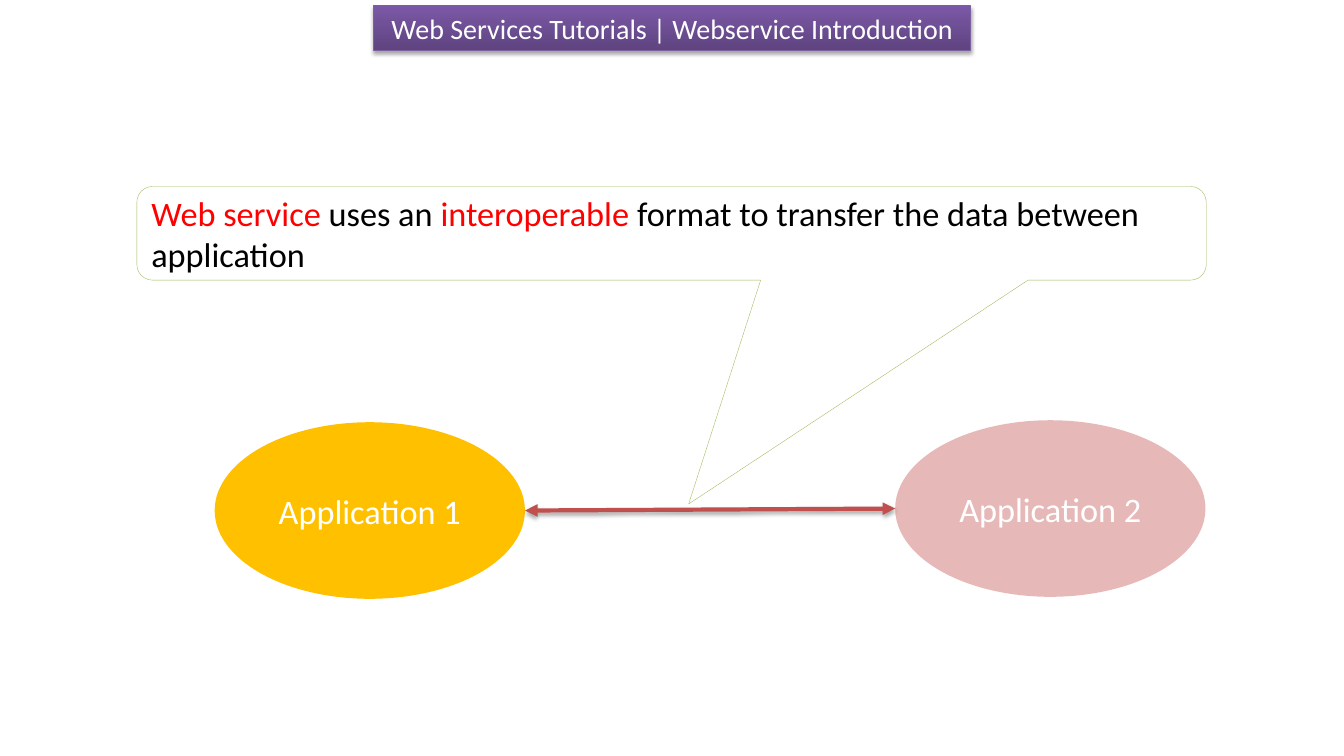
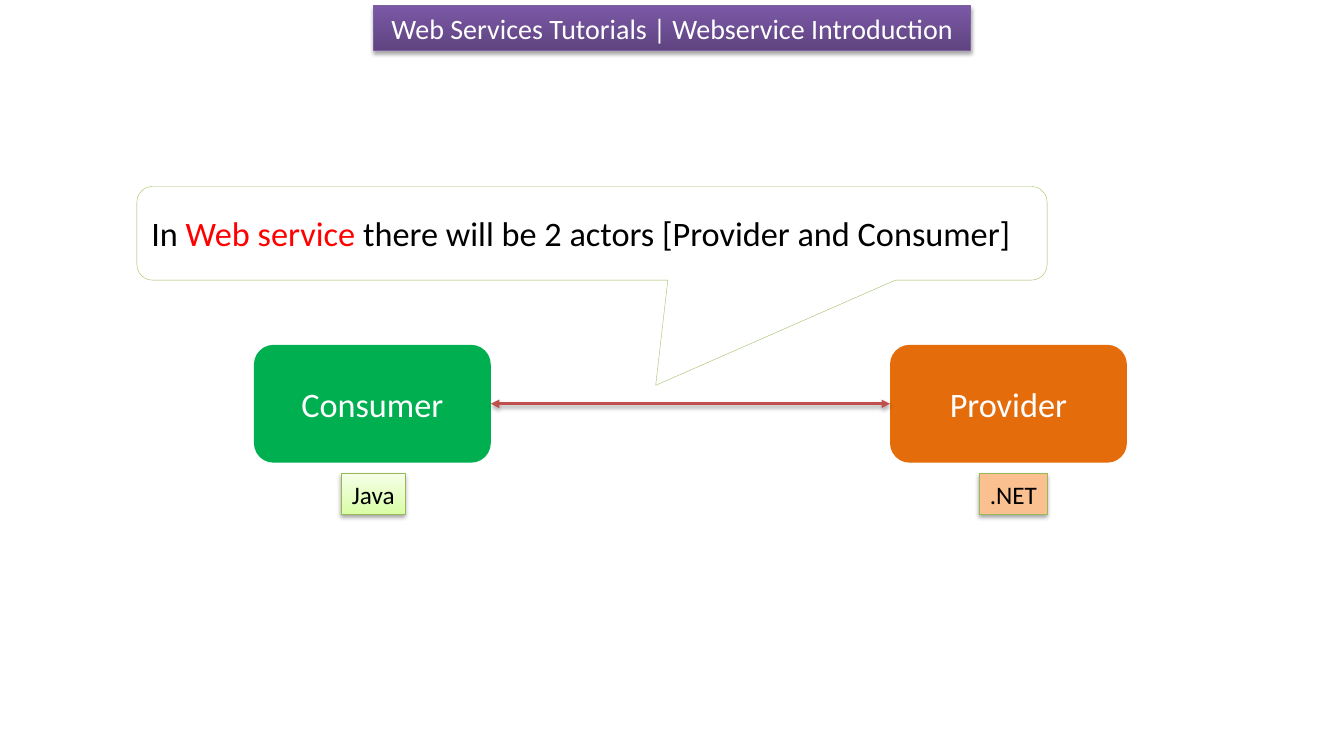
"""Build two slides introducing web services: their data format and their actors."""
from lxml.etree import SubElement
from pptx import Presentation
from pptx.dml.color import RGBColor
from pptx.enum.shapes import MSO_CONNECTOR, MSO_SHAPE
from pptx.enum.text import MSO_ANCHOR, PP_ALIGN
from pptx.oxml import parse_xml
from pptx.oxml.ns import nsdecls, qn
from pptx.util import Cm, Pt

COLORS = {
    "white": "FFFFFF", "black": "000000", "red": "FF0000",
    "title_dark": "5F4480", "title_light": "7B58A6", "title_line": "7D60A0",
    "amber": "FFC000", "pink": "E6B9B8", "green": "00B050", "orange": "E46C0A",
    "arrow": "C0504D", "callout_line": "9BBB59", "tag_line": "98B955",
    "lime_dark": "DAFDA7", "lime_light": "F5FFE7", "peach": "FAC090",
}
FONT = "Calibri"
BODY_SIZE = 24.5

SLIDES = [
    {
        "callout_width": 26.95,
        "callout_tip": (0.016, 2.89),
        "callout_runs": [
            ("Web service ", "red"), ("uses an ", "black"), ("interoperable", "red"),
            (" format to transfer the data between application", "black"),
        ],
        "node_shape": MSO_SHAPE.OVAL,
        "node_size": (7.82, 4.45),
        "nodes": [("Application 1", 5.41, 10.64, "amber"),
                  ("Application 2", 22.56, 10.59, "pink")],
        "arrow_width": 3,
        "tags": [],
    },
    {
        "callout_width": 22.94,
        "callout_tip": (0.07, 1.623),
        "callout_runs": [
            ("In ", "black"), ("Web service ", "red"),
            ("there will be 2 actors [Provider and Consumer]", "black"),
        ],
        "node_shape": MSO_SHAPE.ROUNDED_RECTANGLE,
        "node_size": (5.97, 2.97),
        "nodes": [("Consumer", 6.4, 8.69, "green"), ("Provider", 22.43, 8.69, "orange")],
        "arrow_width": 2,
        "tags": [("Java", 8.61, 1.6, ("lime_dark", "lime_light")),
                 (".NET", 24.69, 1.7, ("peach",))],
    },
]


def style_shape(shape, fills, line=None, line_width=0.75, shadow=False):
    """Fill a shape with one colour or a bottom-to-top gradient, then outline and shade it."""
    if len(fills) > 1:
        shape.fill.gradient()
        shape.fill.gradient_angle = 90
        for stop, name in zip(shape.fill.gradient_stops, fills):
            stop.color.rgb = RGBColor.from_string(COLORS[name])
    elif fills:
        shape.fill.solid()
        shape.fill.fore_color.rgb = RGBColor.from_string(COLORS[fills[0]])
    if line:
        shape.line.color.rgb = RGBColor.from_string(COLORS[line])
        shape.line.width = Pt(line_width)
    else:
        shape.line.fill.background()
    properties = shape._element.spPr
    for effects in properties.findall(qn("a:effectLst")):
        properties.remove(effects)
    effects = parse_xml(f"<a:effectLst {nsdecls('a')}/>")
    properties.append(effects)
    if shadow:
        outer = SubElement(effects, qn("a:outerShdw"), blurRad=str(Pt(3.1)),
                           dist=str(Pt(1.8)), dir="5400000", rotWithShape="0")
        color = SubElement(outer, qn("a:srgbClr"), val=COLORS["black"])
        SubElement(color, qn("a:alpha"), val="35000")


def write_text(shape, runs, size, align=PP_ALIGN.CENTER, wrap=True):
    """Write coloured runs into the single paragraph of a shape."""
    frame = shape.text_frame
    frame.word_wrap = wrap
    frame.vertical_anchor = MSO_ANCHOR.MIDDLE
    paragraph = frame.paragraphs[0]
    paragraph.alignment = align
    for text, color in runs:
        run = paragraph.add_run()
        run.text = text
        run.font.name = FONT
        run.font.size = Pt(size)
        run.font.color.rgb = RGBColor.from_string(COLORS[color])


presentation = Presentation()
presentation.slide_width = Cm(33.87)
presentation.slide_height = Cm(19.05)
title_only = presentation.slide_layouts[5]

for content in SLIDES:
    slide = presentation.slides.add_slide(title_only)

    title = slide.shapes.title
    title.left, title.top, title.width, title.height = Cm(9.42), Cm(0.15), Cm(15.04), Cm(1.12)
    style_shape(title, ("title_dark", "title_light"), "title_line", shadow=True)
    write_text(title, [("Web Services Tutorials | Webservice Introduction", "white")], 20)

    node_width, node_height = content["node_size"]
    nodes = []
    for label, left, top, color in content["nodes"]:
        node = slide.shapes.add_shape(content["node_shape"], Cm(left), Cm(top),
                                      Cm(node_width), Cm(node_height))
        style_shape(node, (color,))
        write_text(node, [(label, "white")], BODY_SIZE)
        nodes.append(node)

    first, second = nodes
    arrow = slide.shapes.add_connector(
        MSO_CONNECTOR.STRAIGHT,
        first.left + first.width, first.top + first.height // 2,
        second.left, second.top + second.height // 2)
    style_shape(arrow, (), "arrow", content["arrow_width"], shadow=True)
    outline = arrow._element.spPr.find(qn("a:ln"))
    for end in ("a:headEnd", "a:tailEnd"):
        SubElement(outline, qn(end), type="triangle")

    for label, left, width, fills in content["tags"]:
        tag = slide.shapes.add_shape(MSO_SHAPE.RECTANGLE, Cm(left), Cm(11.94),
                                     Cm(width), Cm(1.02))
        style_shape(tag, fills, "tag_line", shadow=True)
        write_text(tag, [(label, "black")], 18, wrap=False)

    callout = slide.shapes.add_shape(MSO_SHAPE.ROUNDED_RECTANGULAR_CALLOUT, Cm(3.45), Cm(4.7),
                                     Cm(content["callout_width"]), Cm(2.36))
    callout.adjustments[0], callout.adjustments[1] = content["callout_tip"]
    style_shape(callout, ("white",), "callout_line", 0.25)
    write_text(callout, content["callout_runs"], BODY_SIZE, PP_ALIGN.LEFT)

presentation.save("out.pptx")
